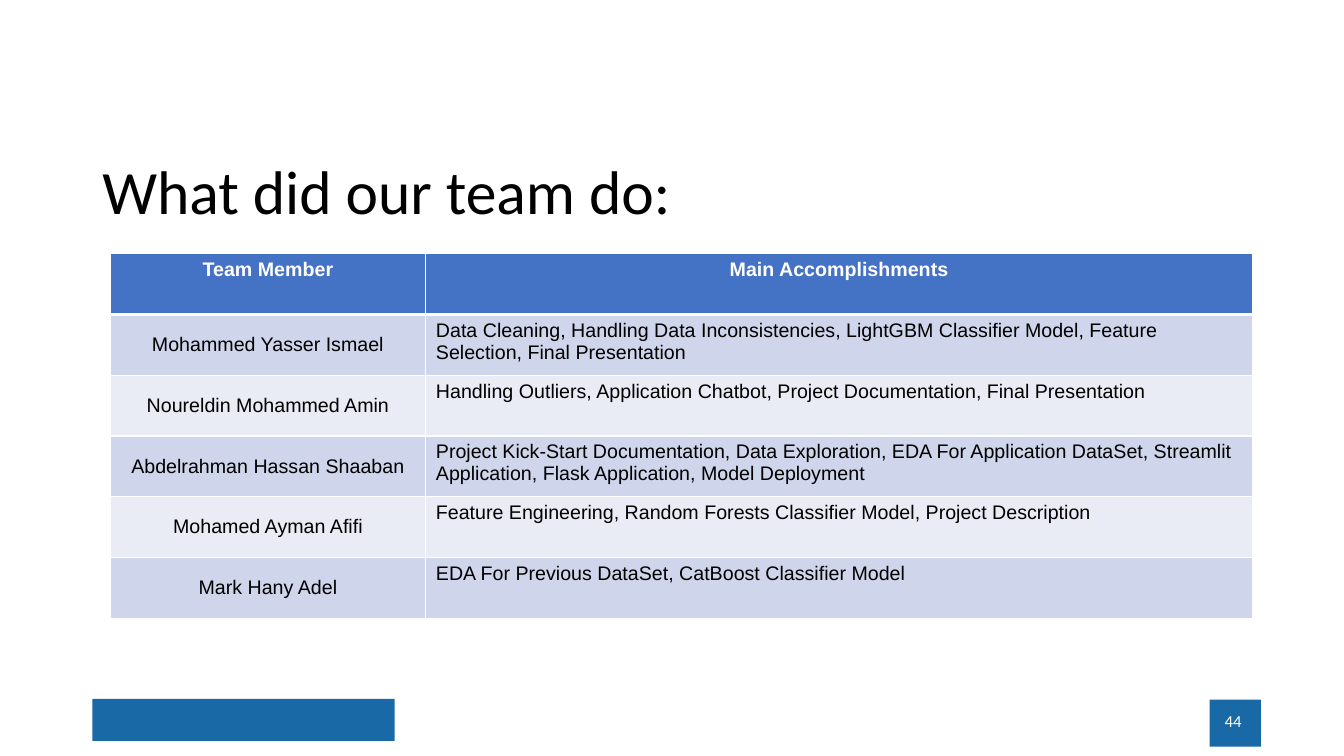
from lxml.etree import SubElement
from pptx import Presentation
from pptx.dml.color import RGBColor
from pptx.enum.shapes import MSO_SHAPE
from pptx.enum.text import MSO_ANCHOR, PP_ALIGN
from pptx.oxml.ns import qn
from pptx.util import Inches, Pt

COLS, ROWS = 160, 90
WHITE, BLACK, BLUE = "FFFFFF", "000000", "1869A6"
HEAD, BANDS = "4472C4", ("CFD5EA", "E9EBF5")

TEAM = [
    ("Team Member", "Main Accomplishments"),
    ("Mohammed Yasser Ismael",
     "Data Cleaning, Handling Data Inconsistencies, LightGBM Classifier Model, "
     "Feature Selection, Final Presentation"),
    ("Noureldin Mohammed Amin",
     "Handling Outliers, Application Chatbot, Project Documentation, "
     "Final Presentation"),
    ("Abdelrahman Hassan Shaaban",
     "Project Kick-Start Documentation, Data Exploration, EDA For Application "
     "DataSet, Streamlit Application, Flask Application, Model Deployment"),
    ("Mohamed Ayman Afifi",
     "Feature Engineering, Random Forests Classifier Model, Project Description"),
    ("Mark Hany Adel", "EDA For Previous DataSet, CatBoost Classifier Model"),
]


def tint(color):
    return RGBColor.from_string(color)


def paint(fill, color):
    fill.solid()
    fill.fore_color.rgb = tint(color)


class Page:
    """Places elements on a slide by grid columns and rows."""

    def __init__(self, deck):
        self.slide = deck.slides.add_slide(deck.slide_layouts[6])
        self.shapes = self.slide.shapes
        self.col = deck.slide_width / COLS
        self.row = deck.slide_height / ROWS

    def place(self, x, y, wide, high):
        return (round(x * self.col), round(y * self.row),
                round(wide * self.col), round(high * self.row))

    def add_run(self, frame, text, size, font, color, align=PP_ALIGN.LEFT, bold=False):
        para = frame.paragraphs[0]
        para.alignment = align
        run = para.add_run()
        run.text = text
        run.font.size, run.font.name, run.font.bold = Pt(size), font, bold
        run.font.color.rgb = tint(color)
        return para

    def bar(self, *box):
        shape = self.shapes.add_shape(MSO_SHAPE.RECTANGLE, *self.place(*box))
        shape.shadow.inherit = False
        paint(shape.fill, BLUE)
        shape.line.fill.background()

    def label(self, box, text, size, color, align=PP_ALIGN.LEFT):
        frame = self.shapes.add_textbox(*self.place(*box)).text_frame
        frame.word_wrap = True
        frame.vertical_anchor = MSO_ANCHOR.MIDDLE
        return self.add_run(frame, text, size, "Calibri", color, align)

    def edge(self, cell, low):
        """Draws white borders, with the bottom one low points wide."""
        props = cell._tc.get_or_add_tcPr()
        for at, (side, width) in enumerate(zip("LRTB", (1, 1, 1, low))):
            line = SubElement(props, qn(f"a:ln{side}"), w=str(Pt(width)))
            fill = SubElement(line, qn("a:solidFill"))
            SubElement(fill, qn("a:srgbClr"), val=WHITE)
            props.insert(at, line)

    def table(self, box, widths, data):
        grid = self.shapes.add_table(len(data), len(widths), *self.place(*box)).table
        for col, width in zip(grid.columns, widths):
            col.width = round(width * self.col)
        for r, line in enumerate(data):
            top = r == 0
            for c, text in enumerate(line):
                cell = grid.cell(r, c)
                paint(cell.fill, HEAD if top else BANDS[(r - 1) % 2])
                self.edge(cell, 3 if top else 1)
                name = c == 0 and not top
                cell.vertical_anchor = MSO_ANCHOR.MIDDLE if name else MSO_ANCHOR.TOP
                align = PP_ALIGN.CENTER if top or name else PP_ALIGN.LEFT
                self.add_run(cell.text_frame, text, 14, "Arial",
                             WHITE if top else BLACK, align, top)


def main():
    deck = Presentation()
    deck.slide_width, deck.slide_height = Inches(13.33), Inches(7.5)
    page = Page(deck)
    page.bar(11, 83.2, 36, 5)
    page.bar(144, 83.3, 6.1, 5.6)
    title = page.label((11, 14.4, 138, 17.4), "What did our team do:", 44, BLACK)
    title.line_spacing = 0.9
    page.label((113, 83.4, 36, 4.8), "44", 12, WHITE, PP_ALIGN.RIGHT)
    page.table((13.1, 30.2, 136, 43.4), (37.6, 98.4), TEAM)
    deck.save("out.pptx")


if __name__ == "__main__":
    main()
